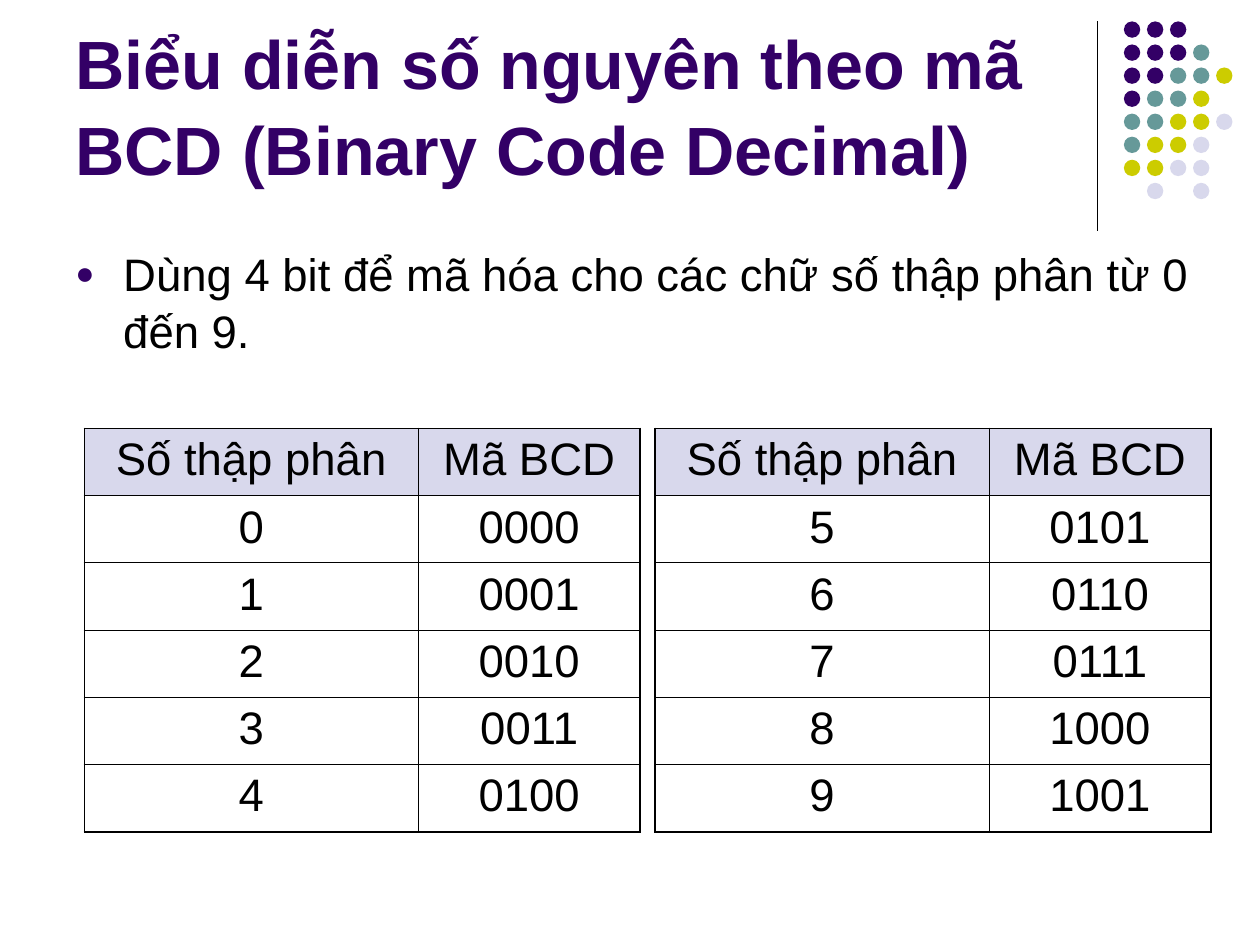
from lxml import etree
from pptx import Presentation
from pptx.dml.color import RGBColor
from pptx.enum import shapes, text
from pptx.oxml import ns
from pptx.util import Inches, Pt

PURPLE = RGBColor(0x33, 0x00, 0x66)
TEAL = RGBColor(0x66, 0x99, 0x99)
OLIVE = RGBColor(0xCC, 0xCC, 0x00)
LAVENDER = RGBColor(0xD8, 0xD8, 0xEC)
BLACK = RGBColor(0x00, 0x00, 0x00)
FONT = "Arial"

DOT_COLORS = {"P": PURPLE, "T": TEAL, "O": OLIVE, "L": LAVENDER}
DOT_ROWS = ["PPP", "PPPT", "PPTTO", "PTTO", "TTOOL", "TOOL", "OOLL", " L L"]
DOT_PITCH, DOT_SIZE = 0.183, 0.13

HEADER = ("Số thập phân", "Mã BCD")
COLUMN_WIDTHS = (2.65, 1.76)
ROW_HEIGHT = 3.2 / 6
OUTER_LINE, INNER_LINE = 1.08, 0.45


def style_font(paragraph, size, color, bold=False):
    font = paragraph.font
    font.name, font.size, font.bold = FONT, Pt(size), bold
    font.color.rgb = color


def add_text(slide, box, content, size, color, bold=False, bullet=False,
             anchor=text.MSO_ANCHOR.TOP):
    shape = slide.shapes.add_textbox(*map(Inches, box))
    frame = shape.text_frame
    frame.word_wrap = True
    frame.vertical_anchor = anchor
    paragraph = frame.paragraphs[0]
    paragraph.text = content
    paragraph.line_spacing = 1.05
    if bullet:
        add_bullet(paragraph)
    style_font(paragraph, size, color, bold)


def add_bullet(paragraph):
    properties = paragraph._p.get_or_add_pPr()
    properties.set("marL", str(Inches(0.38)))
    properties.set("indent", str(-Inches(0.38)))
    color = etree.SubElement(properties, ns.qn("a:buClr"))
    etree.SubElement(color, ns.qn("a:srgbClr"), val=str(PURPLE))
    etree.SubElement(properties, ns.qn("a:buSzPct"), val="70000")
    etree.SubElement(properties, ns.qn("a:buFont"), typeface=FONT)
    etree.SubElement(properties, ns.qn("a:buChar"), char="●")


def add_divider(slide):
    line = slide.shapes.add_connector(
        shapes.MSO_CONNECTOR.STRAIGHT,
        Inches(8.71), Inches(0.17), Inches(8.71), Inches(1.83))
    line.line.color.rgb = BLACK
    line.line.width = Pt(0.75)
    etree.SubElement(line._element.spPr, ns.qn("a:effectLst"))


def add_dots(slide, left, top):
    group = slide.shapes.add_group_shape()
    for row, codes in enumerate(DOT_ROWS):
        for column, code in enumerate(codes):
            if code == " ":
                continue
            dot = group.shapes.add_shape(
                shapes.MSO_SHAPE.OVAL,
                Inches(left + column * DOT_PITCH),
                Inches(top + row * DOT_PITCH),
                Inches(DOT_SIZE), Inches(DOT_SIZE))
            dot.shadow.inherit = False
            dot.fill.solid()
            dot.fill.fore_color.rgb = DOT_COLORS[code]
            dot.line.fill.background()


def set_borders(cell, widths):
    properties = cell._tc.get_or_add_tcPr()
    for index, (side, width) in enumerate(widths.items()):
        line = etree.Element(ns.qn(f"a:ln{side}"), w=str(Pt(width)))
        fill = etree.SubElement(line, ns.qn("a:solidFill"))
        etree.SubElement(fill, ns.qn("a:srgbClr"), val=str(BLACK))
        properties.insert(index, line)


def add_bcd_table(slide, left, top, digits):
    rows = [HEADER] + [(str(digit), f"{digit:04b}") for digit in digits]
    table = slide.shapes.add_table(
        len(rows), len(HEADER), Inches(left), Inches(top),
        Inches(sum(COLUMN_WIDTHS)), Inches(ROW_HEIGHT * len(rows))).table
    table.first_row = table.horz_banding = False
    for column, width in zip(table.columns, COLUMN_WIDTHS):
        column.width = Inches(width)

    last_row, last_column = len(rows) - 1, len(HEADER) - 1
    for r, values in enumerate(rows):
        table.rows[r].height = Inches(ROW_HEIGHT)
        for c, value in enumerate(values):
            cell = table.cell(r, c)
            paragraph = cell.text_frame.paragraphs[0]
            paragraph.text = value
            paragraph.alignment = text.PP_ALIGN.CENTER
            style_font(paragraph, 26, BLACK)
            if r == 0:
                cell.fill.solid()
                cell.fill.fore_color.rgb = LAVENDER
            else:
                cell.fill.background()
            on_edge = {"L": c == 0, "R": c == last_column,
                       "T": r == 0, "B": r == last_row}
            set_borders(cell, {side: OUTER_LINE if edge else INNER_LINE
                               for side, edge in on_edge.items()})


def main():
    presentation = Presentation()
    presentation.slide_width, presentation.slide_height = Inches(10), Inches(7.5)
    slide = presentation.slides.add_slide(presentation.slide_layouts[6])

    # Corner decoration
    add_divider(slide)
    add_dots(slide, 8.92, 0.17)

    # Title and body text
    add_text(slide, (0.5, 0.13, 8.25, 1.42),
             "Biểu diễn số nguyên theo mã BCD (Binary Code Decimal)",
             39, PURPLE, bold=True, anchor=text.MSO_ANCHOR.BOTTOM)
    add_text(slide, (0.5, 1.88, 9.34, 4.82),
             "Dùng 4 bit để mã hóa cho các chữ số thập phân từ 0 đến 9.",
             26, BLACK, bullet=True)

    # Code tables
    add_bcd_table(slide, 0.67, 3.4, range(5))
    add_bcd_table(slide, 5.2, 3.4, range(5, 10))

    presentation.save("out.pptx")


if __name__ == "__main__":
    main()
